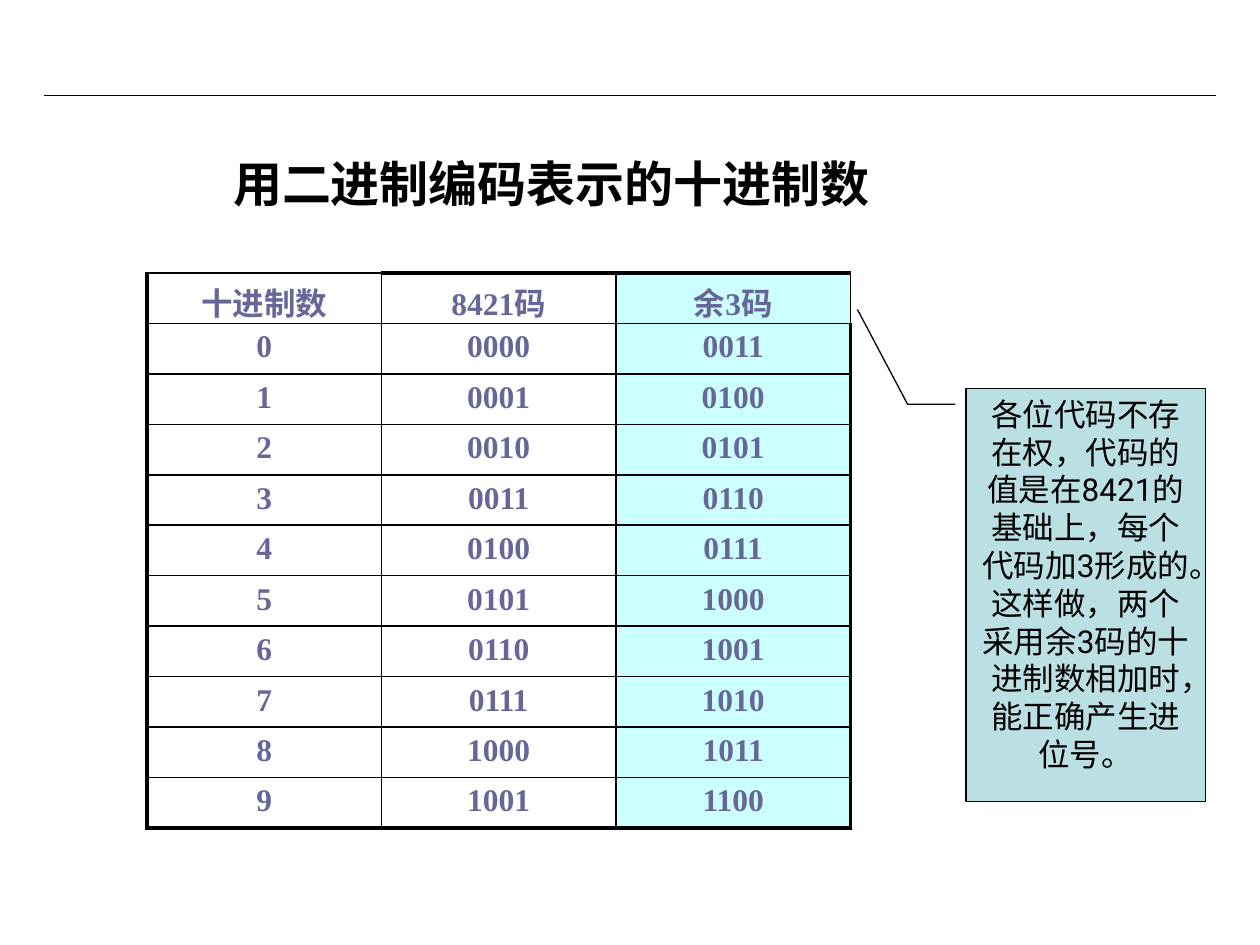
from dataclasses import dataclass

from lxml.etree import SubElement
from pptx import Presentation
from pptx.dml.color import RGBColor
from pptx.enum.shapes import MSO_CONNECTOR as Connector, MSO_SHAPE as Shape
from pptx.enum.text import MSO_ANCHOR as Anchor, MSO_AUTO_SIZE as AutoSize, PP_ALIGN as Align
from pptx.oxml.ns import qn
from pptx.util import Emu, Inches, Pt

BLACK, SLATE, AQUA, TEAL = "000000", "666699", "CCFFFF", "BBE0E3"
THIN, THICK = 1, 2.25
GRID_COLUMNS, GRID_ROWS = 120, 90

deck = Presentation()
deck.slide_width, deck.slide_height = Inches(10), Inches(7.5)


@dataclass(frozen=True)
class Box:
    column: float
    row: float
    columns: float
    rows: float

    def lengths(self) -> tuple[Emu, Emu, Emu, Emu]:
        return across(self.column), down(self.row), across(self.columns), down(self.rows)


@dataclass(frozen=True)
class CodeRow:
    labels: tuple[str, str, str]
    top: tuple[float, float, float] = (THIN, THIN, THIN)
    bottom: float = THIN
    right: float = THICK


def across(columns: float) -> Emu:
    return Emu(round(deck.slide_width * columns / GRID_COLUMNS))


def down(rows: float) -> Emu:
    return Emu(round(deck.slide_height * rows / GRID_ROWS))


def color(code: str) -> RGBColor:
    return RGBColor.from_string(code)


def write(frame, text: str, *, size: float, font: str = "Roboto", ink: str = BLACK,
          bold: bool = False, align=Align.LEFT, before: int = 0) -> None:
    frame.word_wrap = True
    paragraph = frame.paragraphs[0]
    paragraph.alignment = align
    if before:
        spacing = SubElement(paragraph._p.get_or_add_pPr(), qn("a:spcBef"))
        SubElement(spacing, qn("a:spcPct"), val=str(before * 1000))
    run = paragraph.add_run()
    run.text = text
    run.font.name, run.font.size, run.font.bold = font, Pt(size), bold
    run.font.color.rgb = color(ink)


def set_borders(cell, **widths: float) -> None:
    properties = cell._tc.get_or_add_tcPr()
    for position, side in enumerate("LRTB"):
        border = properties.makeelement(qn(f"a:ln{side}"), {"w": str(Pt(widths[side]))})
        fill = SubElement(border, qn("a:solidFill"))
        SubElement(fill, qn("a:srgbClr"), val=BLACK)
        properties.insert(position, border)


def code_rows() -> list[CodeRow]:
    header = CodeRow(("十进制数", "8421码", "余3码"), top=(THIN, THICK, THICK), right=THIN)
    digits = [
        CodeRow((str(digit), f"{digit:04b}", f"{digit + 3:04b}"),
                bottom=THICK if digit == 9 else THIN)
        for digit in range(10)
    ]
    return [header, *digits]


def draw_rule(slide) -> None:
    rule = slide.shapes.add_connector(
        Connector.STRAIGHT, across(4.2), down(9.12), across(115.8), down(9.12))
    rule.line.color.rgb = color(BLACK)
    rule.line.width = Pt(0.75)
    SubElement(rule._element.spPr, qn("a:effectLst"))


def draw_title(slide, box: Box) -> None:
    title = slide.shapes.title
    title.left, title.top, title.width, title.height = box.lengths()
    frame = title.text_frame
    frame.vertical_anchor = Anchor.TOP
    frame.auto_size = AutoSize.SHAPE_TO_FIT_TEXT
    write(frame, "用二进制编码表示的十进制数", size=28, bold=True, before=50)


def draw_codes(slide, box: Box, rows: list[CodeRow]) -> None:
    codes = slide.shapes.add_table(len(rows), 3, *box.lengths()).table
    codes.first_row = codes.horz_banding = False
    for row_index, row in enumerate(rows):
        for column, label in enumerate(row.labels):
            cell = codes.cell(row_index, column)
            if column == 2:
                cell.fill.solid()
                cell.fill.fore_color.rgb = color(AQUA)
            else:
                cell.fill.background()
            set_borders(cell, L=THICK if column == 0 else THIN,
                        R=row.right if column == 2 else THIN,
                        T=row.top[column], B=row.bottom)
            write(cell.text_frame, label, size=18, font="Times New Roman", ink=SLATE,
                  bold=True, align=Align.CENTER, before=20)


def draw_explanation(slide, box: Box) -> None:
    explanation = slide.shapes.add_shape(Shape.LINE_CALLOUT_2, *box.lengths())
    explanation.shadow.inherit = False
    for index, share in enumerate((0.038, -0.044, 0.038, -0.244, -0.191, -0.453)):
        explanation.adjustments[index] = share
    explanation.fill.solid()
    explanation.fill.fore_color.rgb = color(TEAL)
    explanation.line.color.rgb = color(BLACK)
    explanation.line.width = Pt(0.75)
    explanation.text_frame.vertical_anchor = Anchor.TOP
    write(explanation.text_frame,
          "各位代码不存在权，代码的值是在8421的基础上，每个代码加3形成的。"
          "这样做，两个采用余3码的十进制数相加时，能正确产生进位号。",
          size=18, align=Align.CENTER)


def main() -> None:
    slide = deck.slides.add_slide(deck.slide_layouts[5])
    draw_rule(slide)
    draw_codes(slide, Box(14, 26, 67, 52.8), code_rows())
    draw_title(slide, Box(21, 14, 65, 6.84))
    draw_explanation(slide, Box(92, 37, 22.8, 39.36))
    deck.save("out.pptx")


main()
